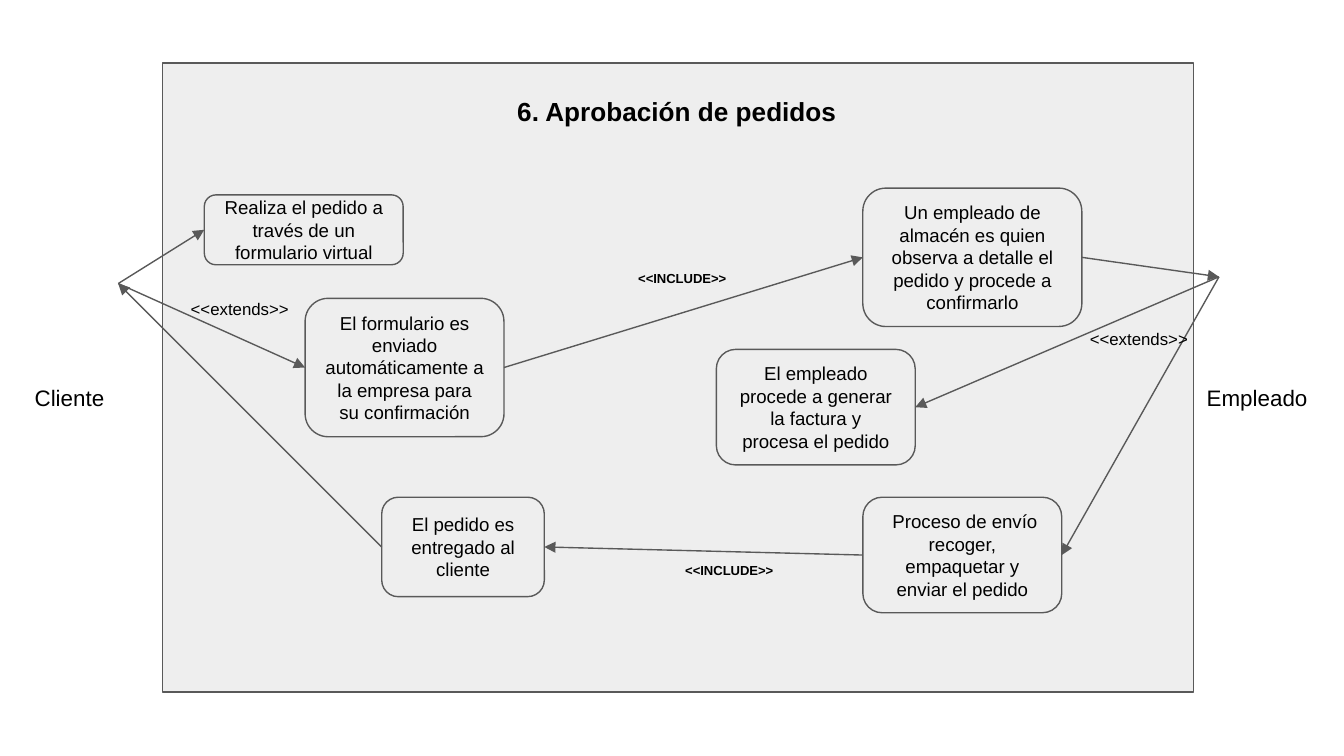
"""Build the use case diagram slide for order approval."""
from lxml.etree import SubElement
from pptx import Presentation
from pptx.dml.color import RGBColor
from pptx.enum.shapes import MSO_CONNECTOR, MSO_SHAPE
from pptx.enum.text import MSO_ANCHOR, PP_ALIGN
from pptx.oxml.ns import qn
from pptx.util import Inches, Pt

COLORS = {"text": "000000", "line": "595959", "fill": "EEEEEE"}
LEFT, RIGHT = 1, 3
SYSTEM = (1.21, 0.47, 7.67, 4.68)
ACTORS = {"cliente": (0.88, 2.11), "empleado": (9.07, 2.06)}

USE_CASES = {
    "realiza": ("Realiza el pedido a través de un formulario virtual",
                (1.52, 1.45, 1.48, 0.52)),
    "confirma": ("Un empleado de almacén es quien observa a detalle el pedido "
                 "y procede a confirmarlo", (6.42, 1.4, 1.63, 1.03)),
    "formulario": ("El formulario es enviado automáticamente a la empresa "
                   "para su confirmación", (2.27, 2.22, 1.48, 1.03)),
    "factura": ("El empleado procede a generar la factura y procesa el pedido",
                (5.33, 2.6, 1.48, 0.86)),
    "envio": (" Proceso de envío recoger, empaquetar y enviar el pedido",
              (6.42, 3.7, 1.48, 0.86)),
    "entrega": ("El pedido es entregado al cliente", (2.84, 3.7, 1.21, 0.74)),
}

ARROWS = [
    ("cliente", ("realiza", LEFT)),
    ("cliente", ("formulario", LEFT)),
    ("empleado", ("factura", RIGHT)),
    ("empleado", ("envio", RIGHT)),
    (("envio", LEFT), ("entrega", RIGHT)),
    (("formulario", RIGHT), ("confirma", LEFT)),
    (("confirma", RIGHT), "empleado"),
    (("entrega", LEFT), "cliente"),
]

LABELS = [
    ("6. Aprobación de pedidos", (3.75, 0.61, 2.58, 0.44), 14, True),
    ("Cliente", (0.16, 2.76, 0.86, 0.4), 12, False),
    ("Empleado", (8.88, 2.76, 1.02, 0.4), 12, False),
    ("<<extends>>", (8.01, 2.37, 0.95, 0.35), 9, False),
    ("<<extends>>", (1.32, 2.15, 0.95, 0.35), 9, False),
    ("<<INCLUDE>>", (4.65, 1.95, 0.88, 0.32), 7, True),
    ("<<INCLUDE>>", (5, 4.13, 0.88, 0.32), 7, True),
]


def rgb(name):
    return RGBColor.from_string(COLORS[name])


def write(sp, text, size=10, bold=False, align=PP_ALIGN.LEFT,
          anchor=MSO_ANCHOR.TOP, wrap=False):
    tf = sp.text_frame
    tf.word_wrap = wrap
    tf.vertical_anchor = anchor
    tf.margin_left = tf.margin_right = Inches(0.1)
    tf.margin_top = tf.margin_bottom = Inches(0.1)
    p = tf.paragraphs[0]
    p.alignment = align
    r = p.add_run()
    r.text = text
    r.font.name = "Arial"
    r.font.size = Pt(size)
    r.font.bold = bold
    r.font.color.rgb = rgb("text")


def add_box(s, kind, at):
    sp = s.shapes.add_shape(kind, *map(Inches, at))
    sp.shadow.inherit = False
    sp.fill.solid()
    sp.fill.fore_color.rgb = rgb("fill")
    sp.line.color.rgb = rgb("line")
    sp.line.width = Pt(0.75)
    return sp


def end_point(end):
    if end in ACTORS:
        return ACTORS[end]
    name, side = end
    x, y, w, h = USE_CASES[name][1]
    return x + (w if side == RIGHT else 0), y + h / 2


def add_arrow(s, boxes, start, end):
    points = (*end_point(start), *end_point(end))
    c = s.shapes.add_connector(MSO_CONNECTOR.STRAIGHT, *map(Inches, points))
    if start not in ACTORS:
        c.begin_connect(boxes[start[0]], start[1])
    if end not in ACTORS:
        c.end_connect(boxes[end[0]], end[1])
    c.line.color.rgb = rgb("line")
    c.line.width = Pt(0.75)
    SubElement(c.get_or_add_ln(), qn("a:tailEnd"),
               type="triangle", w="med", len="med")
    SubElement(c._element.spPr, qn("a:effectLst"))


def main():
    prs = Presentation()
    prs.slide_width = Inches(10)
    prs.slide_height = prs.slide_width * 9 // 16
    s = prs.slides.add_slide(prs.slide_layouts[6])
    add_box(s, MSO_SHAPE.RECTANGLE, SYSTEM)

    boxes = {}
    for name, (text, at) in USE_CASES.items():
        boxes[name] = add_box(s, MSO_SHAPE.ROUNDED_RECTANGLE, at)
        write(boxes[name], text, align=PP_ALIGN.CENTER,
              anchor=MSO_ANCHOR.MIDDLE, wrap=True)
    for start, end in ARROWS:
        add_arrow(s, boxes, start, end)
    for text, at, size, bold in LABELS:
        write(s.shapes.add_textbox(*map(Inches, at)), text,
              size=size, bold=bold)
    prs.save("out.pptx")


if __name__ == "__main__":
    main()
